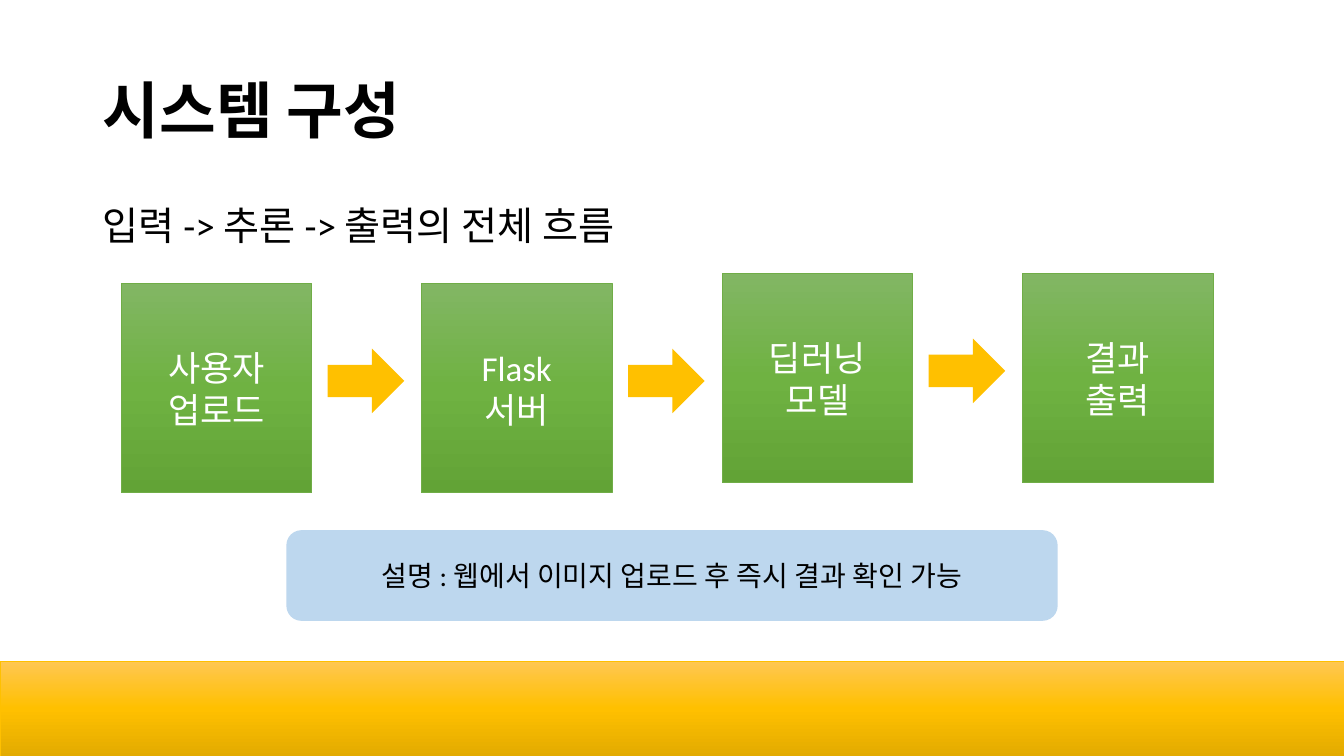
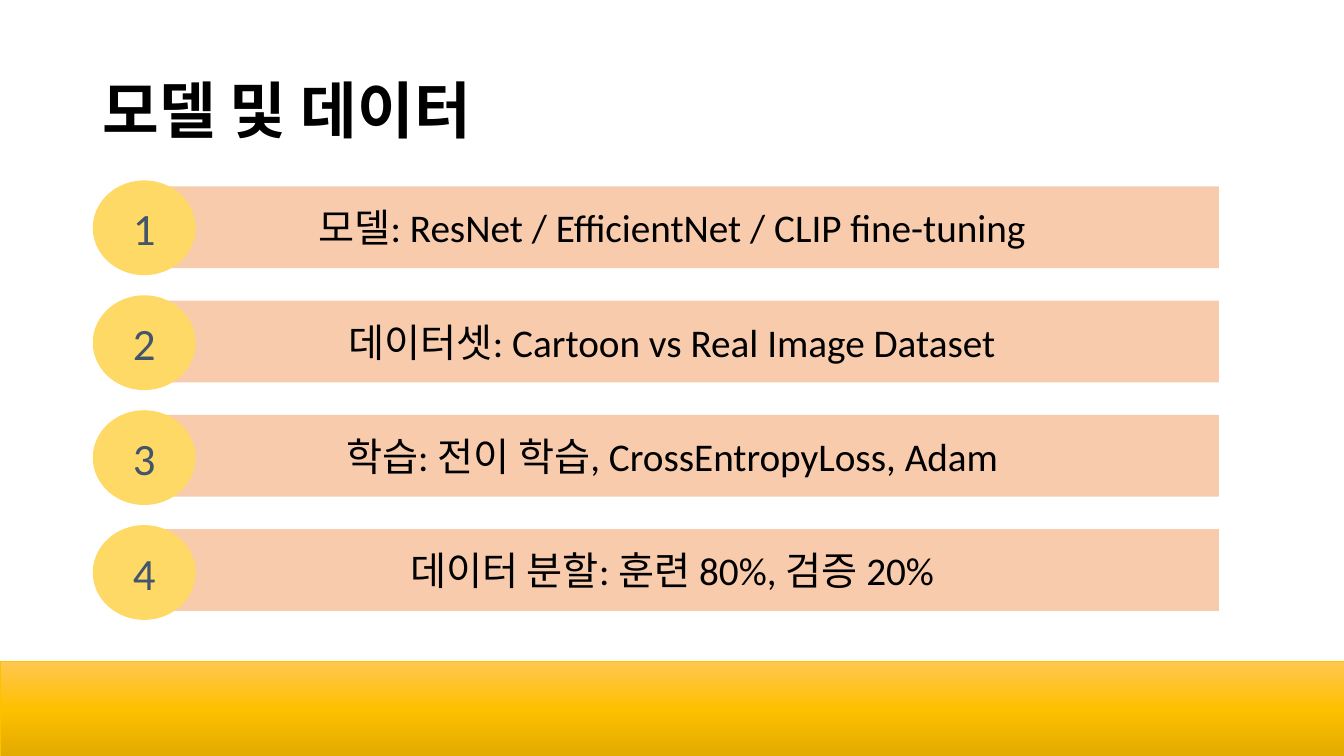
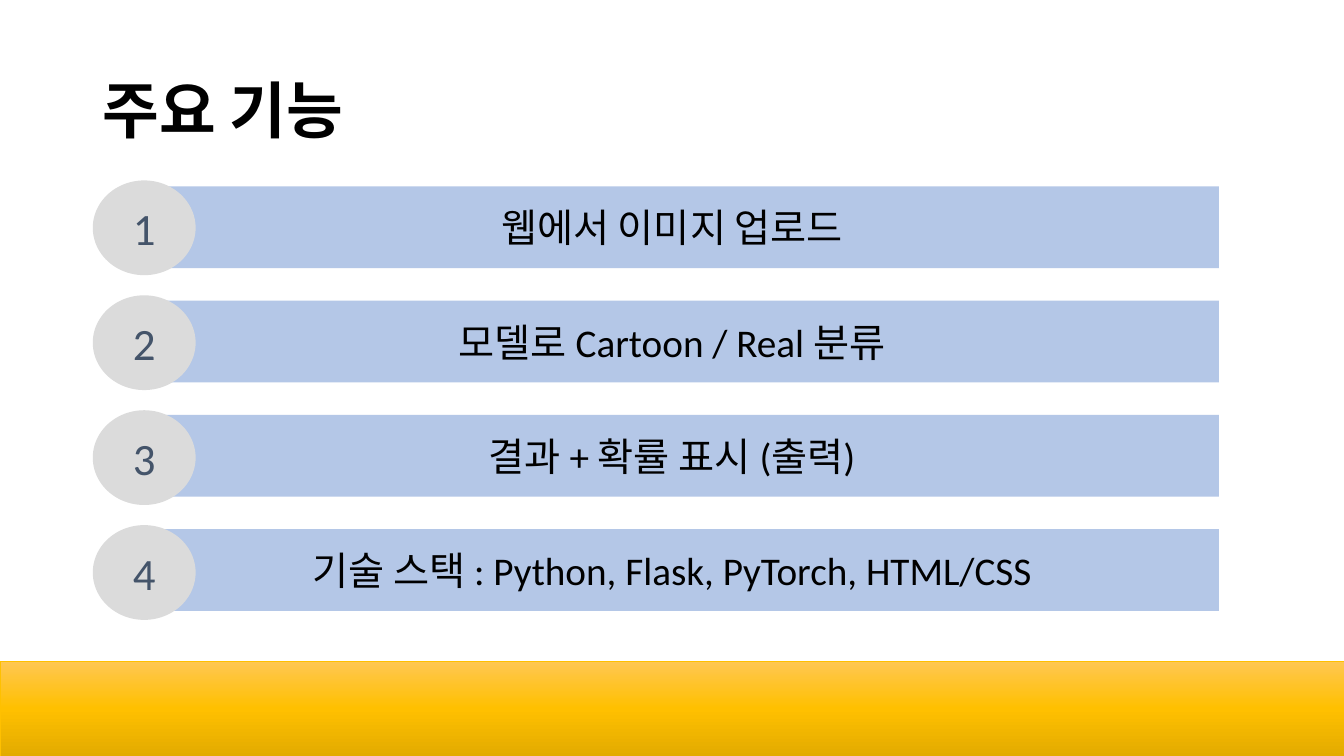
from copy import deepcopy
from dataclasses import dataclass

from pptx import Presentation
from pptx.dml.color import RGBColor
from pptx.enum.shapes import MSO_SHAPE as Preset
from pptx.enum.text import MSO_ANCHOR as Anchor, PP_ALIGN as Align
from pptx.oxml.ns import qn
from pptx.util import Inches, Pt


@dataclass(frozen=True)
class Theme:
    font: str = "Calibri"
    text: str = "000000"
    inverse: str = "FFFFFF"
    number: str = "44546A"
    gold: str = "FFC000"
    green: str = "70AD47"
    note: str = "BDD7EE"
    peach: str = "F8CBAD"
    yellow: str = "FFD966"
    blue: str = "B4C7E7"
    gray: str = "DBDBDB"
    gold_shades: tuple = ("FFC752", "FFC000", "E3AB00")
    green_shades: tuple = ("82B664", "6FB242", "62A336")
    title_size: int = 44
    number_size: int = 32
    body_size: int = 28
    step_size: int = 25
    note_size: int = 20


THEME = Theme()


def write(frame, text, size=THEME.body_size, color=THEME.text, bold=False,
          align=Align.CENTER, anchor=Anchor.MIDDLE, spacing=None, before=None):
    frame.word_wrap = True
    frame.vertical_anchor = anchor
    frame.text = text
    for paragraph in frame.paragraphs:
        paragraph.alignment = align
        if spacing is not None:
            paragraph.line_spacing = spacing
        if before is not None:
            paragraph.space_before = Pt(before)
        for run in paragraph.runs:
            run.font.name = THEME.font
            run.font.size = Pt(size)
            run.font.bold = bold
            run.font.color.rgb = RGBColor.from_string(color)


class Deck:
    def __init__(self, theme):
        self.theme = theme
        self.prs = Presentation()
        self.prs.slide_width = Inches(13.33)
        self.prs.slide_height = Inches(7.5)
        self.slide = None

    def start(self, title, lead=None):
        self.slide = self.prs.slides.add_slide(self.prs.slide_layouts[6])
        self.text(title, 0.92, 0.4, 11.5, 1.45,
                  size=self.theme.title_size, bold=True)
        if lead:
            self.text(lead, 0.92, 2, 11.5, 4.76, anchor=Anchor.TOP, before=10)
        self.shape(Preset.RECTANGLE, 0, 6.56, 13.33, 0.94,
                   self.theme.gold_shades, line=self.theme.gold)

    def text(self, text, left, top, width, height, **style):
        box = self.slide.shapes.add_textbox(
            Inches(left), Inches(top), Inches(width), Inches(height))
        write(box.text_frame, text, align=Align.LEFT, spacing=0.9, **style)

    def shape(self, preset, left, top, width, height, fill,
              line=None, text=None, **style):
        shape = self.slide.shapes.add_shape(
            preset, Inches(left), Inches(top), Inches(width), Inches(height))
        shape.shadow.inherit = False
        if isinstance(fill, tuple):
            self.gradient(shape, fill)
        else:
            shape.fill.solid()
            shape.fill.fore_color.rgb = RGBColor.from_string(fill)
        if line:
            shape.line.color.rgb = RGBColor.from_string(line)
            shape.line.width = Pt(0.5)
        else:
            shape.line.fill.background()
        if text:
            write(shape.text_frame, text, **style)

    def gradient(self, shape, shades):
        shape.fill.gradient()
        shape.fill.gradient_angle = 270
        stops = shape.element.spPr.find(".//" + qn("a:gsLst"))
        for _ in shades[2:]:
            stops.append(deepcopy(stops[0]))
        for index, (stop, shade) in enumerate(zip(shape.fill.gradient_stops, shades)):
            stop.position = index / (len(shades) - 1)
            stop.color.rgb = RGBColor.from_string(shade)

    def flow(self, steps):
        for index, (label, top) in enumerate(steps):
            left = 1.2 + 2.98 * index
            self.shape(Preset.RECTANGLE, left, top, 1.89, 2.08,
                       self.theme.green_shades, line=self.theme.green, text=label,
                       size=self.theme.step_size, color=self.theme.inverse)
            if index < len(steps) - 1:
                self.shape(Preset.RIGHT_ARROW, left + 2.05, top + 0.65,
                           0.76, 0.64, self.theme.gold)

    def note(self, text):
        self.shape(Preset.ROUNDED_RECTANGLE, 2.84, 5.26, 7.65, 0.9,
                   self.theme.note, text=text, size=self.theme.note_size)

    def numbered_bars(self, items, bar_color, badge_color):
        first, last = 1.85, 5.25
        pitch = (last - first) / (len(items) - 1)
        for index, item in enumerate(items):
            self.shape(Preset.RECTANGLE, 1.24, first + pitch * index, 10.85, 0.81,
                       bar_color, text=item)
        for index in range(len(items)):
            self.shape(Preset.OVAL, 0.92, 1.79 + 1.14 * index, 1.02, 0.94,
                       badge_color, text=str(index + 1),
                       size=self.theme.number_size, color=self.theme.number)


def main():
    deck = Deck(THEME)

    deck.start("시스템 구성", lead="입력 -> 추론 -> 출력의 전체 흐름")
    deck.flow([
        ("사용자\n업로드", 2.81),
        ("Flask\n서버", 2.81),
        ("딥러닝\n모델", 2.71),
        ("결과\n출력", 2.71),
    ])
    deck.note("설명 : 웹에서 이미지 업로드 후 즉시 결과 확인 가능")

    deck.start("모델 및 데이터")
    deck.numbered_bars([
        "모델: ResNet / EfficientNet / CLIP fine-tuning",
        "데이터셋: Cartoon vs Real Image Dataset",
        "학습: 전이 학습, CrossEntropyLoss, Adam",
        "데이터 분할: 훈련 80%, 검증 20%",
    ], THEME.peach, THEME.yellow)

    deck.start("주요 기능")
    deck.numbered_bars([
        "웹에서 이미지 업로드",
        "모델로 Cartoon / Real 분류",
        "결과 + 확률 표시 (출력)",
        "기술 스택 : Python, Flask, PyTorch, HTML/CSS",
    ], THEME.blue, THEME.gray)

    deck.prs.save("out.pptx")


if __name__ == "__main__":
    main()
